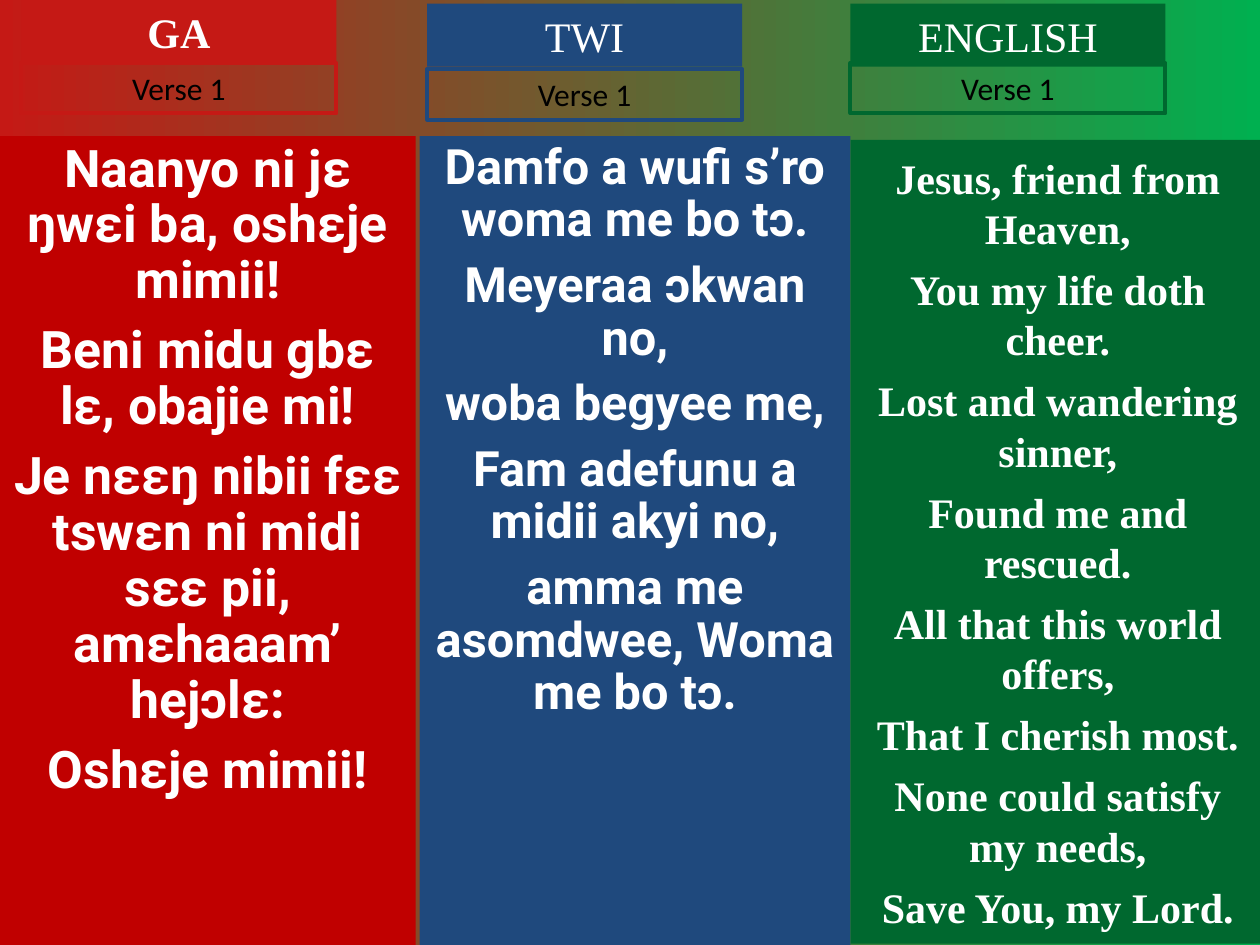
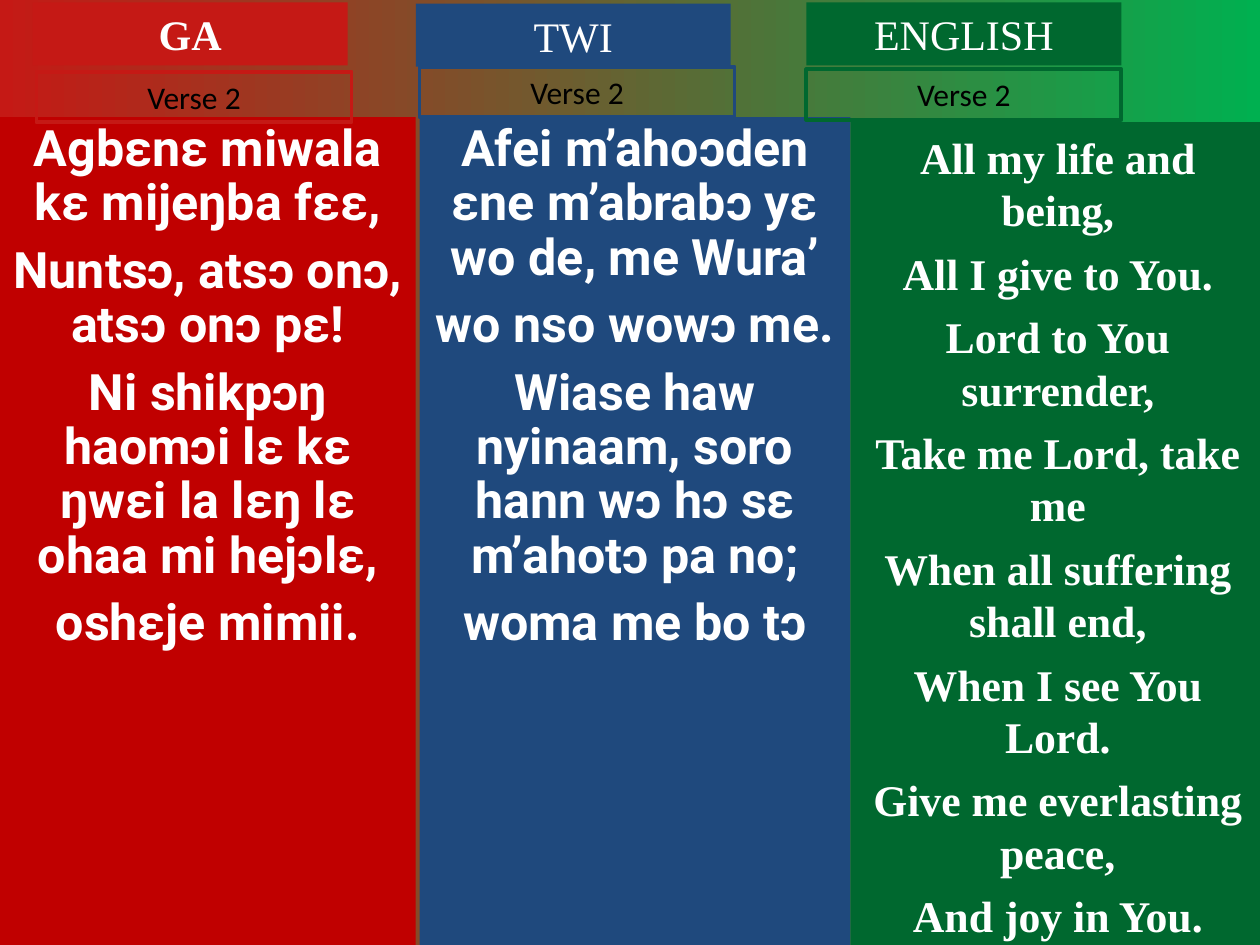
"""Builds two hymn slides with the verse in Ga, Twi and English side by side."""
from pptx import Presentation
from pptx.dml.color import RGBColor
from pptx.enum.shapes import MSO_SHAPE as SHAPE
from pptx.enum.text import MSO_ANCHOR as ANCHOR, PP_ALIGN as ALIGN
from pptx.util import Inches, Pt

BRIGHT_RED = RGBColor(0xC5, 0x19, 0x15)
RED = RGBColor(0xC0, 0x00, 0x00)
BLUE = RGBColor(0x1F, 0x49, 0x7D)
GREEN = RGBColor(0x00, 0x68, 0x2F)
LIGHT_GREEN = RGBColor(0x00, 0xB0, 0x50)
WHITE = RGBColor(0xFF, 0xFF, 0xFF)
BLACK = RGBColor(0x00, 0x00, 0x00)

LABEL_WIDTH, NAME_HEIGHT, VERSE_HEIGHT = 2.5, 0.5, 0.4

LANGUAGES = [
    {"name": "GA", "bold": True, "label": BRIGHT_RED, "panel": RED, "left": 0, "width": 3.3,
     "font": "Roboto", "leading": 0.9, "anchor": ANCHOR.TOP},
    {"name": "TWI", "bold": False, "label": BLUE, "panel": BLUE, "left": 3.33, "width": 3.42,
     "font": "Roboto", "leading": 0.9, "anchor": ANCHOR.TOP},
    {"name": "ENGLISH", "bold": False, "label": GREEN, "panel": GREEN, "left": 6.75, "width": 3.29,
     "font": "Times New Roman", "leading": 1.0, "anchor": ANCHOR.MIDDLE},
]

VERSES = [
    ("Verse 1", [
        {"name_at": (0.17, 0), "verse_at": (0.17, 0.5), "top": 1.08, "height": 6.42,
         "size": 29.6, "gap": 8,
         "lyrics": ["Naanyo ni jɛ ŋwɛi ba, oshɛje mimii!",
                    "Beni midu gbɛ lɛ, obajie mi!",
                    "Je nɛɛŋ nibii fɛɛ tswɛn ni midi sɛɛ pii, amɛhaaam’ hejɔlɛ:",
                    "Oshɛje mimii!"]},
        {"name_at": (3.39, 0.03), "verse_at": (3.39, 0.55), "top": 1.08, "height": 6.42,
         "size": 27.8, "gap": 7.5,
         "lyrics": ["Damfo a wufi s’ro woma me bo tɔ.",
                    "Meyeraa ɔkwan no,",
                    "woba begyee me,",
                    "Fam adefunu a midii akyi no,",
                    "amma me asomdwee, Woma me bo tɔ."]},
        {"name_at": (6.75, 0.03), "verse_at": (6.75, 0.5), "top": 1.11, "height": 6.38,
         "size": 24, "gap": 6,
         "lyrics": ["Jesus, friend from Heaven,",
                    "You my life doth cheer.",
                    "Lost and wandering sinner,",
                    "Found me and rescued.",
                    "All that this world offers,",
                    "That I cherish most.",
                    "None could satisfy my needs,",
                    "Save You, my Lord."]},
    ]),
    ("Verse 2", [
        {"name_at": (0.26, 0.02), "verse_at": (0.29, 0.57), "top": 0.93, "height": 6.57,
         "size": 28.7, "gap": 7.7,
         "lyrics": ["Agbɛnɛ miwala kɛ mijeŋba fɛɛ,",
                    "Nuntsɔ, atsɔ onɔ, atsɔ onɔ pɛ!",
                    "Ni shikpɔŋ haomɔi lɛ kɛ ŋwɛi la lɛŋ lɛ ohaa mi hejɔlɛ,",
                    "oshɛje mimii."]},
        {"name_at": (3.3, 0.03), "verse_at": (3.33, 0.53), "top": 0.93, "height": 6.57,
         "size": 28.7, "gap": 7.7,
         "lyrics": ["Afei m’ahoɔden ɛne m’abrabɔ yɛ wo de, me Wura’",
                    "wo nso wowɔ me.",
                    "Wiase haw nyinaam, soro hann wɔ hɔ sɛ m’ahotɔ pa no;",
                    "woma me bo tɔ"]},
        {"name_at": (6.4, 0.02), "verse_at": (6.4, 0.55), "top": 0.97, "height": 6.57,
         "size": 25, "gap": 6.2,
         "lyrics": ["All my life and being,",
                    "All I give to You.",
                    "Lord to You surrender,",
                    "Take me Lord, take me",
                    "When all suffering shall end,",
                    "When I see You Lord.",
                    "Give me everlasting peace,",
                    "And joy in You."]},
    ]),
]


def add_box(slide, left, top, width, height, fill=None, line=None):
    """Add a flat rectangle, filled or outlined."""
    box = slide.shapes.add_shape(SHAPE.RECTANGLE, Inches(left), Inches(top),
                                 Inches(width), Inches(height))
    box.shadow.inherit = False
    if fill is None:
        box.fill.background()
    else:
        box.fill.solid()
        box.fill.fore_color.rgb = fill
    if line is None:
        box.line.fill.background()
    else:
        box.line.color.rgb = line
        box.line.width = Pt(2.25)
    return box


def write(box, lines, font, size, color, bold=False, anchor=ANCHOR.TOP, gap=0, leading=1.0):
    """Fill a box with centred paragraphs."""
    frame = box.text_frame
    frame.word_wrap = True
    frame.vertical_anchor = anchor
    frame.text = "\n".join(lines)
    for index, paragraph in enumerate(frame.paragraphs):
        paragraph.alignment = ALIGN.CENTER
        paragraph.line_spacing = leading
        paragraph.space_before = Pt(gap if index else 0)
        for run in paragraph.runs:
            run.font.name = font
            run.font.size = Pt(size)
            run.font.bold = bold
            run.font.color.rgb = color


prs = Presentation()
prs.slide_width, prs.slide_height = Inches(10), Inches(7.5)

for verse, columns in VERSES:
    slide = prs.slides.add_slide(prs.slide_layouts[6])
    backdrop = slide.background.fill
    backdrop.gradient()
    backdrop.gradient_angle = 0
    for stop, color, position in zip(backdrop.gradient_stops, (BRIGHT_RED, LIGHT_GREEN), (0, 1)):
        stop.color.rgb = color
        stop.position = position

    for language, column in zip(LANGUAGES, columns):
        panel = add_box(slide, language["left"], column["top"], language["width"],
                        column["height"], fill=language["panel"])
        write(panel, column["lyrics"], language["font"], column["size"], WHITE, bold=True,
              anchor=language["anchor"], gap=column["gap"], leading=language["leading"])

    for language, column in zip(LANGUAGES, columns):
        name = add_box(slide, *column["name_at"], LABEL_WIDTH, NAME_HEIGHT, fill=language["label"])
        write(name, [language["name"]], "Times New Roman", 24, WHITE, bold=language["bold"],
              anchor=ANCHOR.BOTTOM)
        verse_label = add_box(slide, *column["verse_at"], LABEL_WIDTH, VERSE_HEIGHT,
                              line=language["label"])
        write(verse_label, [verse], "Calibri", 18, BLACK)

prs.save("out.pptx")
